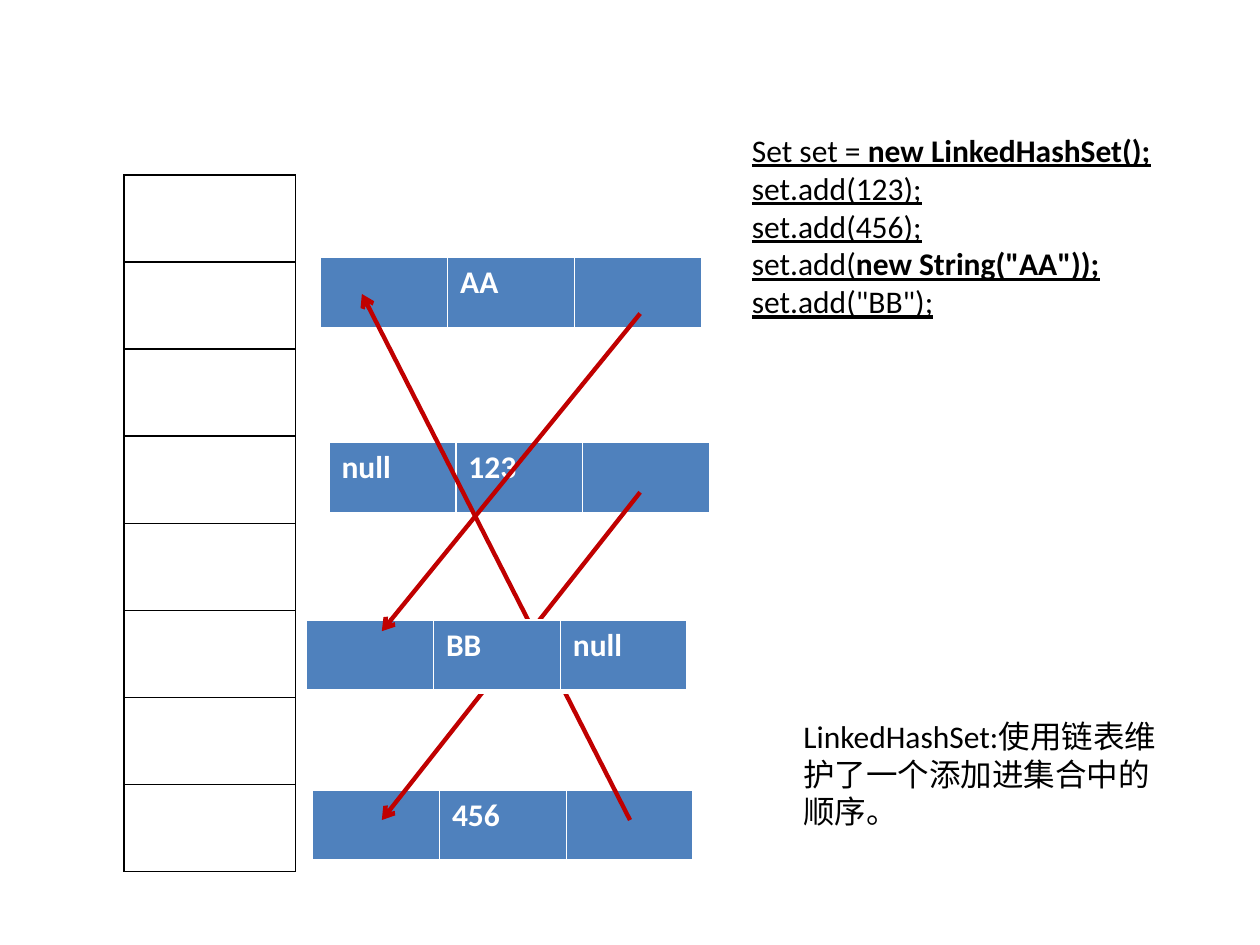
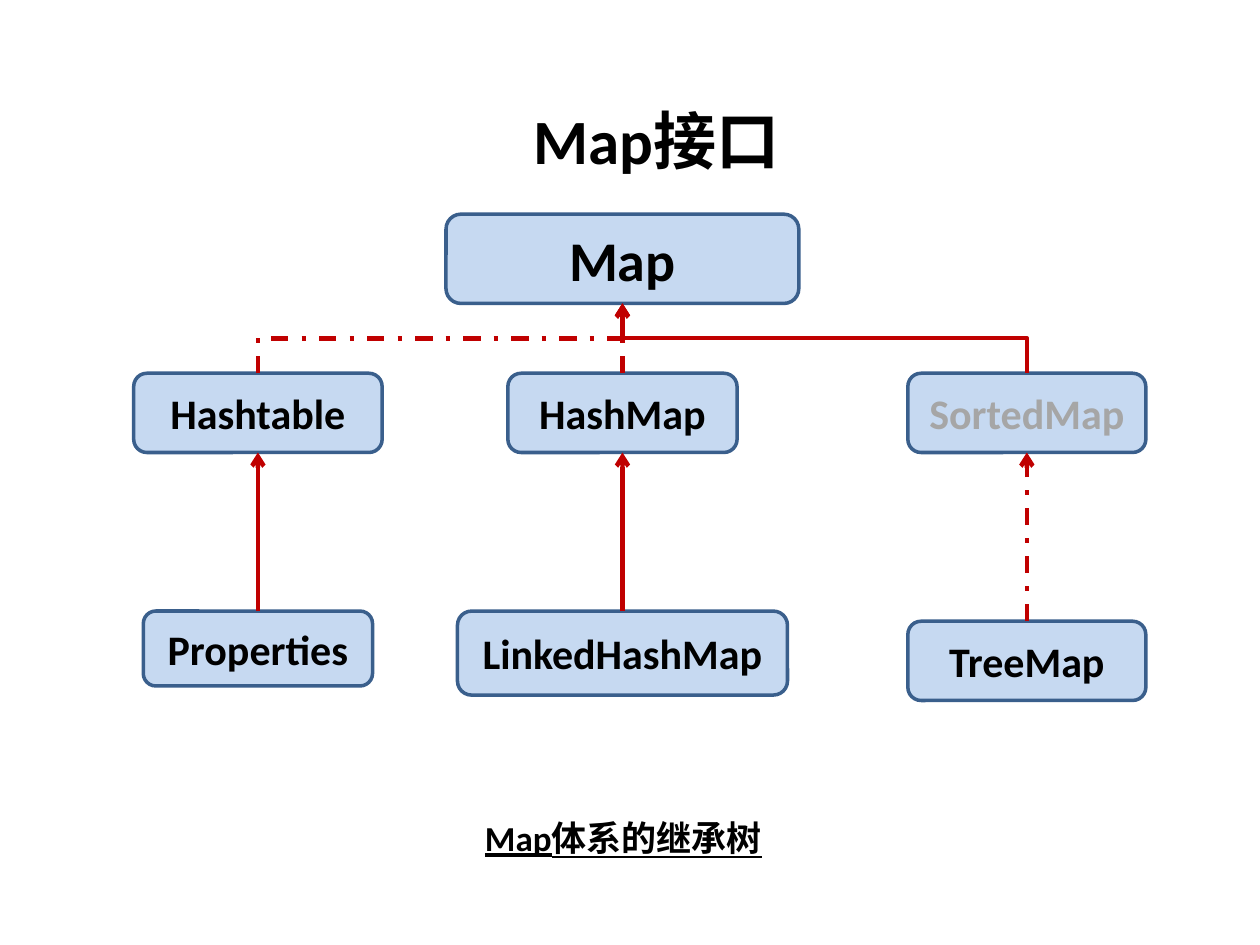
from pptx import Presentation
from pptx.dml.color import RGBColor
from pptx.enum.dml import MSO_LINE
from pptx.enum.shapes import MSO_CONNECTOR, MSO_SHAPE
from pptx.enum.text import MSO_ANCHOR, PP_ALIGN
from pptx.oxml.ns import qn
from pptx.util import Pt
from lxml.etree import SubElement

BLACK, WHITE, RED, GREY = "000000", "FFFFFF", "C00000", "A6A6A6"
NODE_FILL, BOX_FILL, BOX_LINE = "4F81BD", "C6D9F1", "3A5F8C"
BODY = {"size": Pt(18)}
CODE = {"size": Pt(18), "underline": True}
NODE = {"size": Pt(18), "bold": True}
TITLE = {"size": Pt(36), "bold": True}
ROOT = {"size": Pt(32), "bold": True}
CLASS = {"size": Pt(24), "bold": True}
CAPTION = {"size": Pt(20), "bold": True, "underline": True}
TOP, BOTTOM = 0, 2  # connection sites of a box


def rgb(hex_code):
    return RGBColor.from_string(hex_code)


def apply(target, values):
    for key, value in values.items():
        setattr(target, key, value)


def write(paragraph, text, style, color=BLACK):
    run = paragraph.add_run()
    run.text = text
    apply(run.font, {"name": "Calibri", **style})
    run.font.color.rgb = rgb(color)


def add_text(slide, left, top, width, height, lines, style):
    """Each line is a list of (text, bold) runs; bold None keeps the style."""
    frame = slide.shapes.add_textbox(Pt(left), Pt(top), Pt(width), Pt(height)).text_frame
    frame.word_wrap = True
    for index, line in enumerate(lines):
        paragraph = frame.paragraphs[0] if index == 0 else frame.add_paragraph()
        for text, bold in line:
            write(paragraph, text, style if bold is None else {**style, "bold": bold})


def set_borders(cell, color, widths):
    properties = cell._tc.get_or_add_tcPr()
    for side, width in widths.items():
        edge = SubElement(properties, qn(f"a:ln{side}"), w=str(Pt(width)))
        SubElement(SubElement(edge, qn("a:solidFill")), qn("a:srgbClr"), val=color)


def add_grid(slide, left, top, width, height, rows, border, bottom, fill=None):
    table = slide.shapes.add_table(len(rows), len(rows[0]), Pt(left), Pt(top),
                                   Pt(width), Pt(height)).table
    apply(table, {"first_row": False, "horz_banding": False})
    for row, texts in enumerate(rows):
        for column, text in enumerate(texts):
            cell = table.cell(row, column)
            set_borders(cell, border, {"L": 1, "R": 1, "T": 1, "B": bottom})
            if fill:
                cell.fill.solid()
                cell.fill.fore_color.rgb = rgb(fill)
            else:
                cell.fill.background()
            if text:
                write(cell.text_frame.paragraphs[0], text, NODE, WHITE)


def add_node(slide, left, top, *fields):
    add_grid(slide, left, top, 217.5, 41, [fields], WHITE, 3, NODE_FILL)


def style_arrow(arrow, dashed=False):
    arrow.line.color.rgb = rgb(RED)
    arrow.line.width = Pt(2.5)
    if dashed:
        arrow.line.dash_style = MSO_LINE.DASH_DOT
    SubElement(arrow.line._get_or_add_ln(), qn("a:tailEnd"), type="arrow")
    SubElement(arrow._element.spPr, qn("a:effectLst"))


def add_link(slide, x1, y1, x2, y2):
    style_arrow(slide.shapes.add_connector(
        MSO_CONNECTOR.STRAIGHT, Pt(x1), Pt(y1), Pt(x2), Pt(y2)))


def add_class(slide, center, top, width, height, name, style=CLASS, color=BLACK):
    box = slide.shapes.add_shape(MSO_SHAPE.ROUNDED_RECTANGLE, Pt(center - width / 2),
                                 Pt(top), Pt(width), Pt(height))
    box.shadow.inherit = False
    box.fill.solid()
    box.fill.fore_color.rgb = rgb(BOX_FILL)
    box.line.color.rgb = rgb(BOX_LINE)
    box.line.width = Pt(2)
    apply(box.text_frame, {"vertical_anchor": MSO_ANCHOR.MIDDLE, "word_wrap": False})
    paragraph = box.text_frame.paragraphs[0]
    paragraph.alignment = PP_ALIGN.CENTER
    write(paragraph, name, style, color)
    return box


def add_inheritance(slide, child, parent, dashed=False, bent=False):
    kind = MSO_CONNECTOR.ELBOW if bent else MSO_CONNECTOR.STRAIGHT
    arrow = slide.shapes.add_connector(kind, 0, 0, 0, 0)
    arrow.begin_connect(child, TOP)
    arrow.end_connect(parent, BOTTOM)
    if bent:
        # Turn the elbow so that it leaves the child upwards
        run, rise = arrow.end_x - arrow.begin_x, arrow.begin_y - arrow.end_y
        middle_x = (arrow.begin_x + arrow.end_x) // 2
        middle_y = (arrow.begin_y + arrow.end_y) // 2
        apply(arrow, {"left": middle_x - rise // 2, "top": middle_y - abs(run) // 2,
                      "width": rise, "height": abs(run)})
        apply(arrow._element.spPr.xfrm, {"rot": 270, "flipH": False, "flipV": run < 0})
    style_arrow(arrow, dashed)


def build_linked_hash_set(slide):
    add_text(slide, 422.6, 71.3, 256.3, 116.6, [
        [("Set set = ", False), ("new LinkedHashSet();", True)],
        [("set.add(123);", False)],
        [("set.add(456);", False)],
        [("set.add(", False), ("new String(\"AA\"));", True)],
        [("set.add(\"BB\");", False)],
    ], CODE)

    # Hash buckets
    add_grid(slide, 70.8, 100, 98.2, 398, [[""]] * 8, BLACK, 1)

    # Nodes and links, from back to front
    add_node(slide, 188, 252.8, "null", "123", "")
    add_node(slide, 178.6, 451.4, "", "456", "")
    add_link(slide, 365.8, 281.3, 218.2, 468.6)
    add_node(slide, 183.3, 147, "", "AA", "")
    add_link(slide, 360, 468.6, 206.8, 168)
    add_node(slide, 175.2, 354.2, "", "BB", "null")
    add_link(slide, 365.8, 179.2, 218.2, 360.7)

    add_text(slide, 452, 406, 226.8, 72.7,
             [[("LinkedHashSet:使用链表维护了一个添加进集合中的顺序。", None)]], BODY)


def build_map_tree(slide):
    title = slide.shapes.title
    apply(title, {"left": Pt(206.6), "top": Pt(43.2), "width": Pt(337), "height": Pt(72.7)})
    title.text_frame.vertical_anchor = MSO_ANCHOR.MIDDLE
    heading = title.text_frame.paragraphs[0]
    heading.alignment = PP_ALIGN.CENTER
    write(heading, "Map接口", TITLE)

    # Classes in three columns
    left, center, right = 147.4, 355.7, 586.8
    root = add_class(slide, center, 122.4, 201.6, 51, "Map", ROOT)
    hashtable = add_class(slide, left, 213.3, 142, 45.3, "Hashtable")
    hash_map = add_class(slide, center, 213.3, 131, 45.3, "HashMap")
    sorted_map = add_class(slide, right, 213.3, 136, 45.3, "SortedMap", color=GREY)
    properties = add_class(slide, left, 349.2, 131, 42.8, "Properties")
    linked_map = add_class(slide, center, 349.2, 188.6, 48, "LinkedHashMap")
    tree_map = add_class(slide, right, 355, 136, 45.3, "TreeMap")

    # Dashed arrows implement, solid arrows extend
    add_inheritance(slide, hashtable, root, dashed=True, bent=True)
    add_inheritance(slide, sorted_map, root, bent=True)
    add_inheritance(slide, tree_map, sorted_map, dashed=True)
    add_inheritance(slide, properties, hashtable)
    add_inheritance(slide, linked_map, hash_map)
    add_inheritance(slide, hash_map, root, dashed=True)

    add_text(slide, 270, 463, 188.6, 31.7, [[("Map体系的继承树", None)]], CAPTION)


def main():
    deck = Presentation()
    apply(deck, {"slide_width": Pt(720), "slide_height": Pt(540)})
    title_only, blank = deck.slide_layouts[5], deck.slide_layouts[6]
    build_linked_hash_set(deck.slides.add_slide(blank))
    build_map_tree(deck.slides.add_slide(title_only))
    deck.save("out.pptx")


if __name__ == "__main__":
    main()
